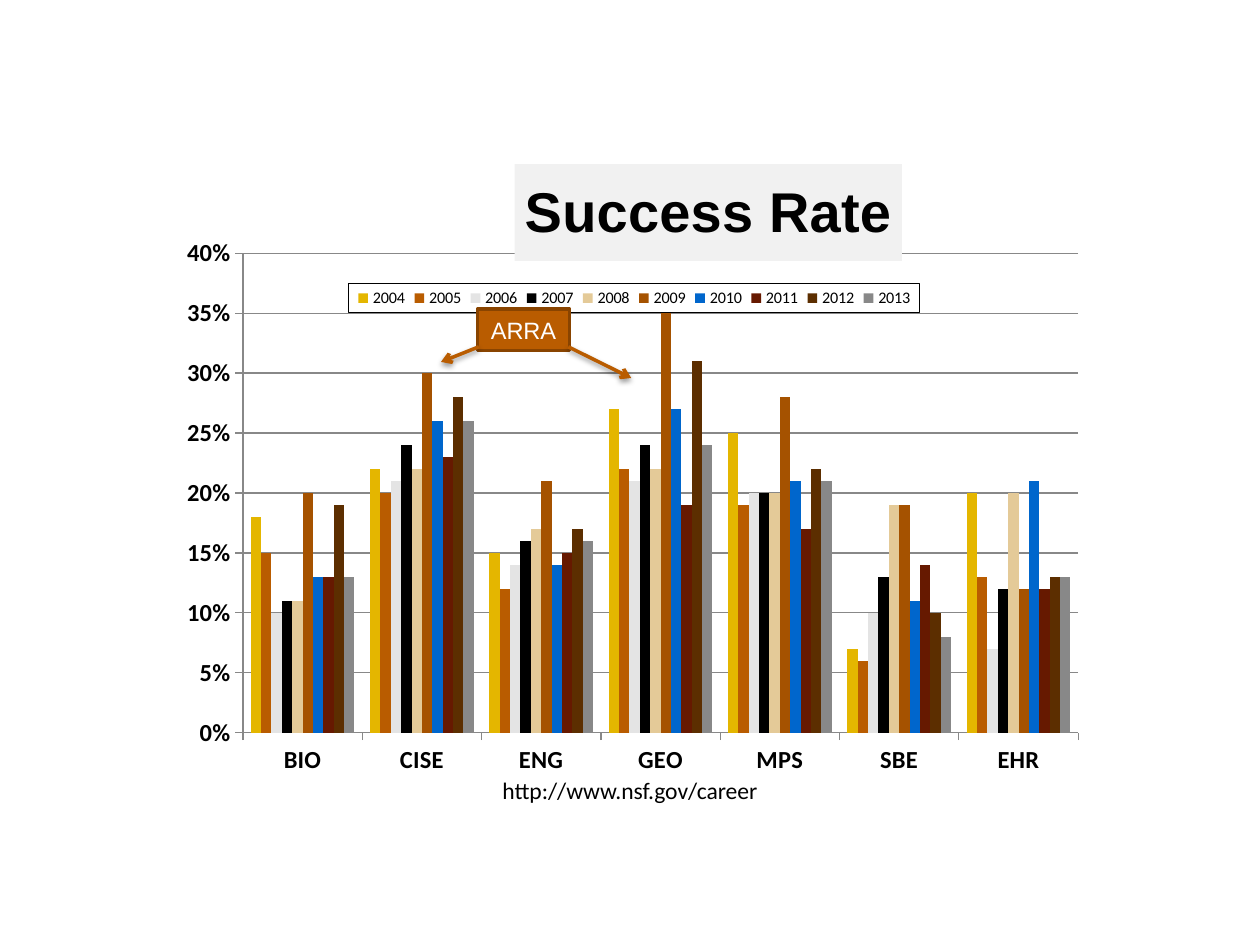
from typing import NamedTuple

from lxml.etree import _Element
from pptx import Presentation
from pptx.chart.data import CategoryChartData
from pptx.dml.color import RGBColor
from pptx.enum.chart import XL_CHART_TYPE, XL_LEGEND_POSITION, XL_TICK_MARK
from pptx.enum.shapes import MSO_CONNECTOR, MSO_SHAPE
from pptx.enum.text import MSO_ANCHOR, PP_ALIGN
from pptx.oxml import parse_xml
from pptx.oxml.ns import nsdecls, qn
from pptx.util import Inches, Pt

WIDTH, HEIGHT = Inches(10), Inches(7.5)
COLORS = {
    "text": "000000",
    "light_text": "FFFFFF",
    "grid": "888888",
    "title_fill": "F1F1F1",
    "legend_fill": "FFFFFF",
    "callout": "B95C00",
    "callout_edge": "894400",
}


class Box(NamedTuple):
    """Left, top, width and height as shares of the surrounding area."""
    left: float
    top: float
    width: float
    height: float

    def on_slide(self) -> tuple[int, int, int, int]:
        return (int(self.left * WIDTH), int(self.top * HEIGHT),
                int(self.width * WIDTH), int(self.height * HEIGHT))


class Year(NamedTuple):
    label: str
    color: str
    rates: tuple[float, ...]


class Arrow(NamedTuple):
    """Start and end points as shares of the slide."""
    start: tuple[float, float]
    end: tuple[float, float]


DIRECTORATES = ("BIO", "CISE", "ENG", "GEO", "MPS", "SBE", "EHR")
YEARS = (
    Year("2004", "E4B600", (0.18, 0.22, 0.15, 0.27, 0.25, 0.07, 0.20)),
    Year("2005", "B95C00", (0.15, 0.20, 0.12, 0.22, 0.19, 0.06, 0.13)),
    Year("2006", "E4E4E4", (0.10, 0.21, 0.14, 0.21, 0.20, 0.10, 0.07)),
    Year("2007", "000000", (0.11, 0.24, 0.16, 0.24, 0.20, 0.13, 0.12)),
    Year("2008", "E4CA98", (0.11, 0.22, 0.17, 0.22, 0.20, 0.19, 0.20)),
    Year("2009", "A55200", (0.20, 0.30, 0.21, 0.37, 0.28, 0.19, 0.12)),
    Year("2010", "0066CC", (0.13, 0.26, 0.14, 0.27, 0.21, 0.11, 0.21)),
    Year("2011", "661900", (0.13, 0.23, 0.15, 0.19, 0.17, 0.14, 0.12)),
    Year("2012", "5C2E00", (0.19, 0.28, 0.17, 0.31, 0.22, 0.10, 0.13)),
    Year("2013", "888888", (0.13, 0.26, 0.16, 0.24, 0.21, 0.08, 0.13)),
)
ARROWS = (
    Arrow((0.38, 0.367), (0.35, 0.383)),
    Arrow((0.451, 0.367), (0.501, 0.4)),
)


def rgb(name: str) -> RGBColor:
    return RGBColor.from_string(COLORS[name])


def style_font(font, size: float, face: str = "Calibri",
               color: str = "text", bold: bool = False) -> None:
    font.name, font.size, font.bold = face, Pt(size), bold
    font.color.rgb = rgb(color)


def write_text(frame, text: str, align=PP_ALIGN.CENTER,
               anchor=MSO_ANCHOR.MIDDLE, **font_format) -> None:
    frame.word_wrap = True
    frame.vertical_anchor = anchor
    paragraph = frame.paragraphs[0]
    paragraph.alignment = align
    run = paragraph.add_run()
    run.text = text
    style_font(run.font, **font_format)


def chart_layout(box: Box, sized: bool = True, inner: bool = False) -> _Element:
    """Manual layout in shares of the chart area."""
    target = '<c:layoutTarget val="inner"/>' if inner else ""
    size = f'<c:w val="{box.width}"/><c:h val="{box.height}"/>' if sized else ""
    return parse_xml(
        f'<c:layout {nsdecls("c")}><c:manualLayout>{target}'
        '<c:xMode val="edge"/><c:yMode val="edge"/>'
        f'<c:x val="{box.left}"/><c:y val="{box.top}"/>{size}'
        '</c:manualLayout></c:layout>')


def set_layout(parent: _Element, layout: _Element, position: int) -> None:
    for old in parent.findall(qn("c:layout")):
        parent.remove(old)
    parent.insert(position, layout)


def style_axes(chart) -> None:
    rate_axis = chart.value_axis
    rate_axis.minimum_scale, rate_axis.maximum_scale = 0, 0.4
    rate_axis.major_unit = 0.05
    rate_axis.has_major_gridlines = True
    rate_axis.major_gridlines.format.line.color.rgb = rgb("grid")
    rate_axis.tick_labels.number_format = "0%"
    rate_axis.tick_labels.number_format_is_linked = False
    for axis in (chart.category_axis, rate_axis):
        axis.major_tick_mark = XL_TICK_MARK.OUTSIDE
        axis.format.line.color.rgb = rgb("grid")
        style_font(axis.tick_labels.font, 14, bold=True)


def style_title(chart, text: str) -> None:
    chart.has_title = True
    title = chart.chart_title
    write_text(title.text_frame, text, size=32, face="Arial", bold=True)
    title.format.fill.solid()
    title.format.fill.fore_color.rgb = rgb("title_fill")
    set_layout(title._element, chart_layout(Box(0.37, 0.01, 0, 0), sized=False), 1)


def style_legend(chart) -> None:
    chart.has_legend = True
    legend = chart.legend
    legend.position = XL_LEGEND_POSITION.TOP
    legend.include_in_layout = True
    style_font(legend.font, 9.2)
    set_layout(legend._element, chart_layout(Box(0.19, 0.195, 0.62, 0.045)), 1)
    legend._element.find(qn("c:overlay")).addnext(parse_xml(
        f'<c:spPr {nsdecls("c", "a")}>'
        f'<a:solidFill><a:srgbClr val="{COLORS["legend_fill"]}"/></a:solidFill>'
        f'<a:ln w="9525"><a:solidFill><a:srgbClr val="{COLORS["text"]}"/>'
        '</a:solidFill></a:ln></c:spPr>'))


def add_rate_chart(slide, box: Box) -> None:
    rates = CategoryChartData(number_format="0%")
    rates.categories = DIRECTORATES
    for year in YEARS:
        rates.add_series(year.label, year.rates)
    chart = slide.shapes.add_chart(
        XL_CHART_TYPE.COLUMN_CLUSTERED, *box.on_slide(), rates).chart
    style_font(chart.font, 10, face="Arial")
    columns = chart.plots[0]
    columns.gap_width, columns.overlap, columns.vary_by_categories = 150, 0, False
    for series, year in zip(columns.series, YEARS):
        series.format.fill.solid()
        series.format.fill.fore_color.rgb = RGBColor.from_string(year.color)
    style_axes(chart)
    style_title(chart, "Success Rate")
    style_legend(chart)
    plot_area = chart._chartSpace.chart.plotArea
    set_layout(plot_area, chart_layout(Box(0.075, 0.148, 0.907, 0.743), inner=True), 0)


def add_callout(slide, box: Box, text: str) -> None:
    callout = slide.shapes.add_shape(MSO_SHAPE.RECTANGLE, *box.on_slide())
    callout.shadow.inherit = False
    callout.fill.solid()
    callout.fill.fore_color.rgb = rgb("callout")
    callout.line.color.rgb = rgb("callout_edge")
    callout.line.width = Pt(2)
    write_text(callout.text_frame, text, size=13.5, face="Arial", color="light_text")


def add_arrow(slide, arrow: Arrow) -> None:
    ends = [int(share * length) for point in arrow
            for share, length in zip(point, (WIDTH, HEIGHT))]
    connector = slide.shapes.add_connector(MSO_CONNECTOR.STRAIGHT, *ends)
    connector.line.color.rgb = rgb("callout")
    connector.line.width = Pt(2)
    connector.line._get_or_add_ln().append(
        parse_xml(f'<a:tailEnd {nsdecls("a")} type="arrow"/>'))
    connector._element.spPr.append(parse_xml(
        f'<a:effectLst {nsdecls("a")}>'
        f'<a:outerShdw blurRad="{Pt(3.1)}" dist="{Pt(1.6)}" dir="5400000" rotWithShape="0">'
        '<a:srgbClr val="000000"><a:alpha val="38000"/></a:srgbClr>'
        '</a:outerShdw></a:effectLst>'))


def main() -> None:
    presentation = Presentation()
    presentation.slide_width, presentation.slide_height = WIDTH, HEIGHT
    slide = presentation.slides.add_slide(presentation.slide_layouts[6])
    add_rate_chart(slide, Box(0.138, 0.167, 0.731, 0.683))
    add_callout(slide, Box(0.379, 0.327, 0.073, 0.044), "ARRA")
    for arrow in ARROWS:
        add_arrow(slide, arrow)
    address = slide.shapes.add_textbox(*Box(0.381, 0.808, 0.238, 0.05).on_slide())
    write_text(address.text_frame, "http://www.nsf.gov/career",
               anchor=MSO_ANCHOR.BOTTOM, size=13.5)
    presentation.save("out.pptx")


if __name__ == "__main__":
    main()
